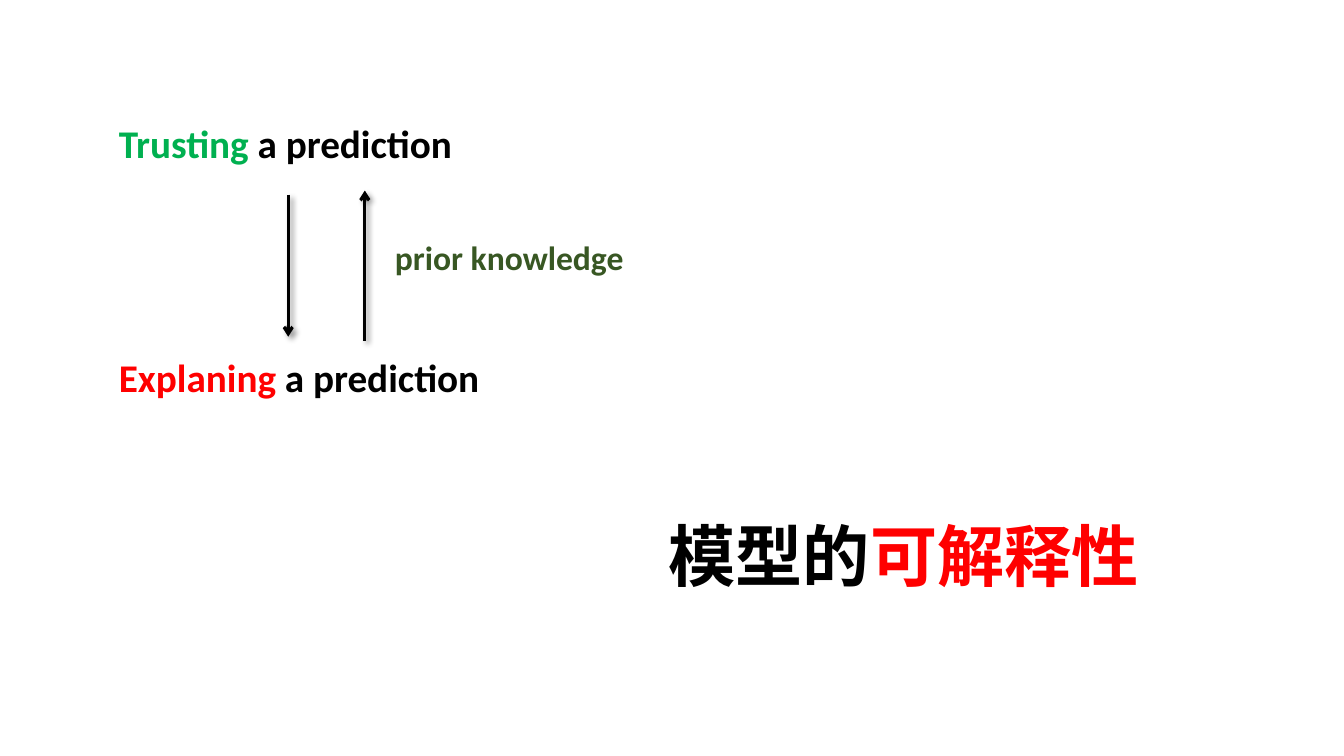
"""Build the slide that links trusting and explaining a prediction."""
from pptx import Presentation
from pptx.dml.color import RGBColor
from pptx.enum.shapes import MSO_CONNECTOR
from pptx.enum.text import MSO_ANCHOR, MSO_AUTO_SIZE, PP_ALIGN
from pptx.oxml import parse_xml
from pptx.oxml.ns import nsdecls
from pptx.util import Pt

COLORS = {
    "black": "000000",
    "green": "00B050",
    "red": "FF0000",
    "olive": "385723",
}


def add_span(para, text, *, color, size, font="Calibri", small_caps=False):
    span = para.add_run()
    span.text = text
    span.font.name = font
    span.font.size = Pt(size)
    span.font.bold = True
    span.font.color.rgb = RGBColor.from_string(COLORS[color])
    properties = span._r.get_or_add_rPr()
    properties.append(parse_xml(f'<a:ea {nsdecls("a")} typeface="{font}"/>'))
    if small_caps:
        properties.set("cap", "small")


def add_label(page, left, top, width, height, spans, size):
    box = page.shapes.add_textbox(Pt(left), Pt(top), Pt(width), Pt(height))
    box.text_frame.word_wrap = False
    box.text_frame.auto_size = MSO_AUTO_SIZE.SHAPE_TO_FIT_TEXT
    for text, color in spans:
        add_span(box.text_frame.paragraphs[0], text, color=color, size=size)


def add_arrow(page, x, start, end):
    arrow = page.shapes.add_connector(
        MSO_CONNECTOR.STRAIGHT, Pt(x), Pt(start), Pt(x), Pt(end))
    arrow.line.width = Pt(2.25)
    arrow.line.color.rgb = RGBColor.from_string(COLORS["black"])
    arrow.line._get_or_add_ln().append(
        parse_xml(f'<a:tailEnd {nsdecls("a")} type="arrow"/>'))
    arrow._element.spPr.append(parse_xml(
        f'<a:effectLst {nsdecls("a")}>'
        f'<a:outerShdw blurRad="{Pt(4)}" dist="{Pt(3)}" dir="2700000" '
        'algn="tl" rotWithShape="0">'
        f'<a:srgbClr val="{COLORS["black"]}"><a:alpha val="40000"/></a:srgbClr>'
        '</a:outerShdw></a:effectLst>'))


def place_title(page, left, top, width, height, spans):
    title = page.shapes.title
    title.left, title.top = Pt(left), Pt(top)
    title.width, title.height = Pt(width), Pt(height)
    frame = title.text_frame
    frame.word_wrap = True
    frame.auto_size = MSO_AUTO_SIZE.SHAPE_TO_FIT_TEXT
    frame.vertical_anchor = MSO_ANCHOR.TOP
    frame.margin_left = frame.margin_right = Pt(6)
    frame.margin_top = frame.margin_bottom = Pt(3)
    para = frame.paragraphs[0]
    para.alignment = PP_ALIGN.CENTER
    for text, color in spans:
        add_span(para, text, color=color, size=60,
                 font="Noto Sans CJK SC", small_caps=True)


def main():
    deck = Presentation()
    deck.slide_width, deck.slide_height = Pt(960), Pt(540)
    page = deck.slides.add_slide(deck.slide_layouts[5])
    place_title(page, 409.7, 352, 471.6, 77.8,
                [("模型的", "black"), ("可解释性", "red")])
    add_label(page, 77.8, 81.4, 342.7, 41,
              [("Trusting", "green"), (" a prediction", "black")], 28)
    add_label(page, 77.8, 249.1, 366.5, 41,
              [("Explaning", "red"), (" a prediction", "black")], 28)
    add_label(page, 275, 165.6, 177.8, 36, [("prior knowledge", "olive")], 24)
    add_arrow(page, 205.9, 139, 240.5)
    add_arrow(page, 260.6, 243.4, 136.1)
    deck.save("out.pptx")


if __name__ == "__main__":
    main()
